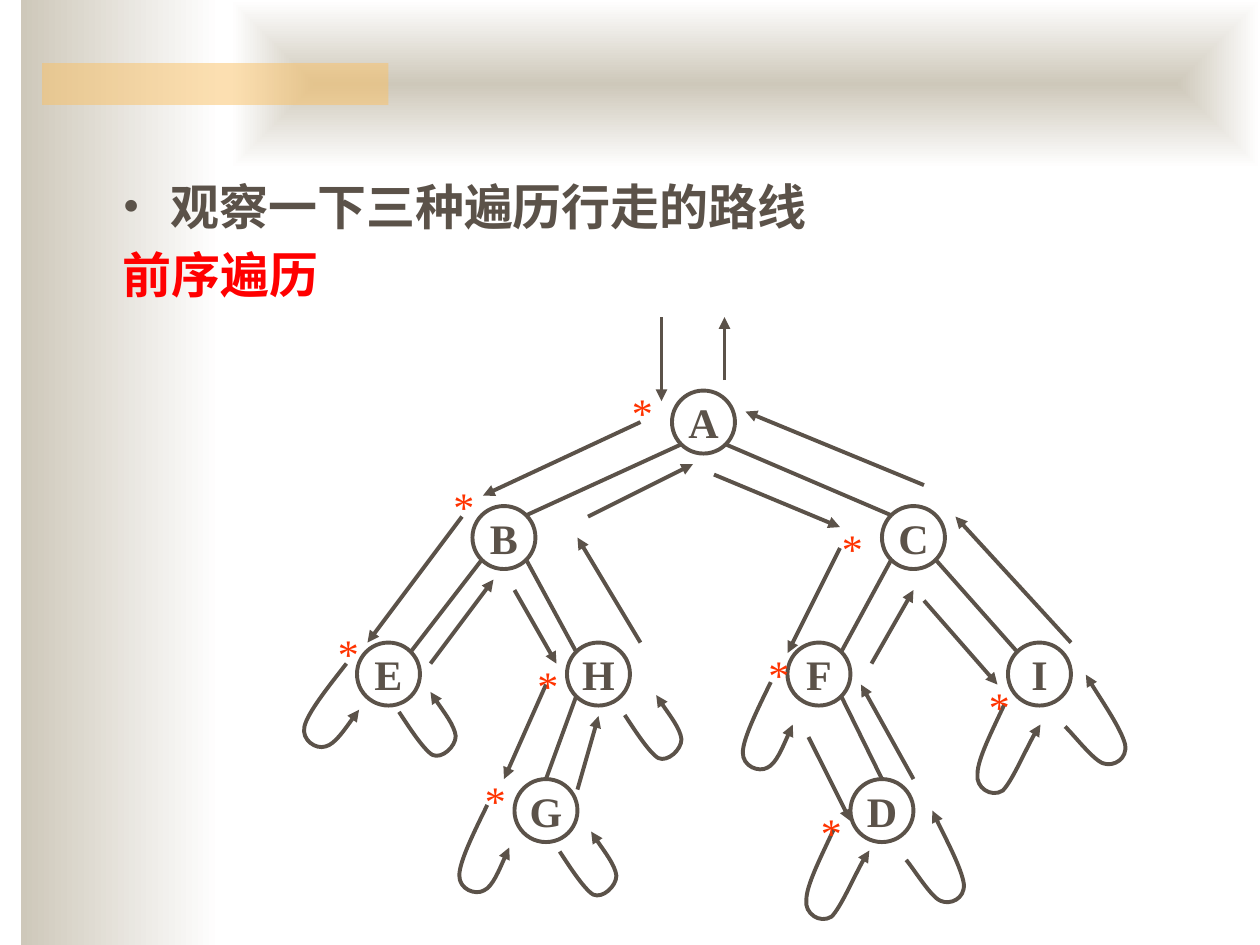
import lxml.etree
import pptx
import pptx.dml.color
import pptx.enum.shapes
import pptx.enum.text
import pptx.oxml.ns
import pptx.util

theme = {
    "font": "Times New Roman",
    "ink": pptx.dml.color.RGBColor(0x5B, 0x52, 0x49),
    "heading": pptx.dml.color.RGBColor(0xFF, 0x00, 0x00),
    "visit": pptx.dml.color.RGBColor(0xFF, 0x33, 0x00),
    "sand": pptx.dml.color.RGBColor(0xCE, 0xC8, 0xBA),
    "amber": pptx.dml.color.RGBColor(0xFA, 0xC1, 0x64),
    "white": pptx.dml.color.RGBColor(0xFF, 0xFF, 0xFF),
    "heading_size": pptx.util.Pt(28),
    "label_size": pptx.util.Pt(24),
    "stroke": pptx.util.Pt(2.25),
}
qn = pptx.oxml.ns.qn
kinds = pptx.enum.shapes.MSO_SHAPE

deck = pptx.Presentation()
deck.slide_width = pptx.util.Inches(10)
deck.slide_height = pptx.util.Inches(7.5)
unit = deck.slide_width / 120
row_shift = 0.2
shapes = deck.slides.add_slide(deck.slide_layouts[6]).shapes


def grid(column, row, *size):
    return [round(cells * unit) for cells in (column, row + row_shift, *size)]


def write(paragraph, text, size, color, bold=True):
    paragraph.text = text
    paragraph.font.name = theme["font"]
    paragraph.font.size = size
    paragraph.font.color.rgb = color
    paragraph.font.bold = bold


backdrop = []
for cells in [(2, 0, 19, 90), (22, 0, 98, 16), (4, 6, 33, 4)]:
    panel = shapes.add_shape(kinds.RECTANGLE, *[round(n * unit) for n in cells])
    panel.shadow.inherit = False
    panel.line.fill.background()
    backdrop.append(panel)
side_band, top_band, accent = backdrop

for band in (side_band, top_band):
    band.fill.gradient()
    band.fill.gradient_angle = 0
    for stop, color in zip(band.fill.gradient_stops, ("sand", "white")):
        stop.color.rgb = theme[color]
gradient = top_band.element.spPr.find(qn("a:gradFill"))
gradient.remove(gradient.find(qn("a:lin")))
spread = lxml.etree.SubElement(gradient, qn("a:path"), path="shape")
lxml.etree.SubElement(spread, qn("a:fillToRect"), l="50000", t="50000", r="50000", b="50000")

accent.fill.solid()
accent.fill.fore_color.rgb = theme["amber"]
amber = accent.element.spPr.find(qn("a:solidFill"))[0]
lxml.etree.SubElement(amber, qn("a:alpha"), val="50000")

intro = shapes.add_textbox(*grid(10.5, 16, 102, 17)).text_frame
intro.word_wrap = True
topic = intro.paragraphs[0]
order = intro.add_paragraph()
order.space_before = pptx.util.Pt(5.6)
hanging = pptx.util.Inches(0.38)
for paragraph in (topic, order):
    paragraph_format = paragraph._p.get_or_add_pPr()
    paragraph_format.set("marL", str(hanging))
    paragraph_format.set("indent", str(-hanging))
lxml.etree.SubElement(topic._p.pPr, qn("a:buFont"), typeface=theme["font"])
lxml.etree.SubElement(topic._p.pPr, qn("a:buChar"), char="•")
write(topic, "观察一下三种遍历行走的路线", theme["heading_size"], theme["ink"])
write(order, "前序遍历", theme["heading_size"], theme["heading"])

node_size = 6
nodes = {
    "A": (64, 37), "B": (45, 48), "C": (84, 48),
    "E": (34, 61), "H": (54, 61), "F": (75, 61), "I": (96, 61),
    "G": (49, 74), "D": (81, 74),
}
strokes = []
for name, corner in nodes.items():
    node = shapes.add_shape(kinds.OVAL, *grid(*corner, node_size, node_size))
    node.fill.solid()
    node.fill.fore_color.rgb = theme["white"]
    node.text_frame.word_wrap = False
    node.text_frame.vertical_anchor = pptx.enum.text.MSO_ANCHOR.MIDDLE
    label = node.text_frame.paragraphs[0]
    label.alignment = pptx.enum.text.PP_ALIGN.CENTER
    write(label, name, theme["label_size"], theme["ink"])
    strokes.append((node, None))

radius = node_size / 2
diagonal = radius * 0.71
routes = []
for parent, child in ["AB", "AC", "BE", "BH", "CF", "CI", "HG", "FD"]:
    (px, py), (cx, cy) = [(x + radius, y + radius) for x, y in (nodes[parent], nodes[child])]
    way = 1 if cx > px else -1
    start = (px + way * diagonal, py + diagonal)
    end = (cx, cy - radius) if child in "GD" else (cx - way * diagonal, cy - diagonal)
    routes.append((start, end, None))

walk = [
    ((63, 30), (63, 38)), ((61, 40), (46, 47)), ((44, 49), (35, 61)),
    ((41, 63), (47, 55)), ((49, 56), (53, 63)), ((52, 65), (48, 74)),
    ((55, 75), (57, 68)), ((61, 61), (55, 51)), ((56, 49), (66, 44)),
    ((68, 45), (80, 50)), ((80, 52), (75, 62)), ((77, 70), (81, 78)),
    ((87, 74), (82, 65)), ((83, 63), (87, 56)), ((88, 57), (95, 65)),
    ((102, 61), (91, 49)), ((88, 46), (71, 39)), ((69, 36), (69, 30)),
]
routes += [(start, end, "a:tailEnd") for start, end in walk]
for start, end, arrow in routes:
    route = shapes.add_connector(
        pptx.enum.shapes.MSO_CONNECTOR.STRAIGHT, *grid(*start), *grid(*end))
    strokes.append((route, arrow))

empty_subtrees = [
    ("a:tailEnd", [(33, 63, 0), (47.3, 76.7, -12), (74.3, 65, -12)],
     [(-1.8, 2.3), (-3.7, 4.7), (-4, 6), (-4.3, 7.3), (-2.9, 8.2),
      (-2, 7.9), (-1.1, 7.7), (0.6, 5.2), (1.2, 4.4)]),
    ("a:tailEnd", [(79.4, 78.8, 0), (95.7, 66.8, 0)],
     [(-1.2, 2.6), (-2.6, 5.3), (-2.6, 6.7), (-2.8, 8), (-1.3, 9),
      (-0.2, 8.3), (0.7, 7.4), (2.5, 3.2), (3.4, 2)]),
    ("a:headEnd", [(41, 65.7, 0), (62.5, 66, 0), (56.3, 79, 0)],
     [(0.4, 0.7), (2.3, 3.2), (2.4, 4.2), (2.4, 5.2), (1.1, 6.4),
      (0.2, 6), (-0.7, 5.5), (-2.4, 2.8), (-3, 1.9)]),
    ("a:headEnd", [(88.8, 77, 0), (103.9, 64, -6.2)],
     [(0.5, 1.2), (2.8, 5.5), (3, 7), (3.1, 8.4), (1.7, 9),
      (0.8, 8.6), (-0.1, 8.3), (-1.8, 5.5), (-2.5, 4.7)]),
]
for arrow, anchors, controls in empty_subtrees:
    for x, y, turn in anchors:
        outline = shapes.build_freeform(*grid(x, y))
        outline.add_line_segments([grid(x + dx, y + dy) for dx, dy in controls], close=False)
        loop = outline.convert_to_shape()
        loop.rotation = turn
        loop.fill.background()
        curve = next(loop.element.iter(qn("a:path")))
        corners = curve.findall(qn("a:lnTo"))
        for first in range(0, len(corners), 3):
            bend = lxml.etree.SubElement(curve, qn("a:cubicBezTo"))
            for corner in corners[first:first + 3]:
                bend.append(corner[0])
                curve.remove(corner)
        strokes.append((loop, arrow))

for stroke, arrow in strokes:
    stroke.line.color.rgb = theme["ink"]
    stroke.line.width = theme["stroke"]
    properties = stroke.element.spPr
    if arrow:
        lxml.etree.SubElement(properties.find(qn("a:ln")), qn(arrow), type="triangle")
    lxml.etree.SubElement(properties, qn("a:effectLst"))

visits = [(59, 36), (42, 45), (31, 59), (50, 62), (45, 73),
          (79, 49), (72, 61), (77, 76), (93, 64)]
for corner in visits:
    visit = shapes.add_textbox(*grid(*corner, 5, 6)).text_frame
    visit.word_wrap = True
    write(visit.paragraphs[0], "*", theme["label_size"], theme["visit"], bold=False)

deck.save("out.pptx")
